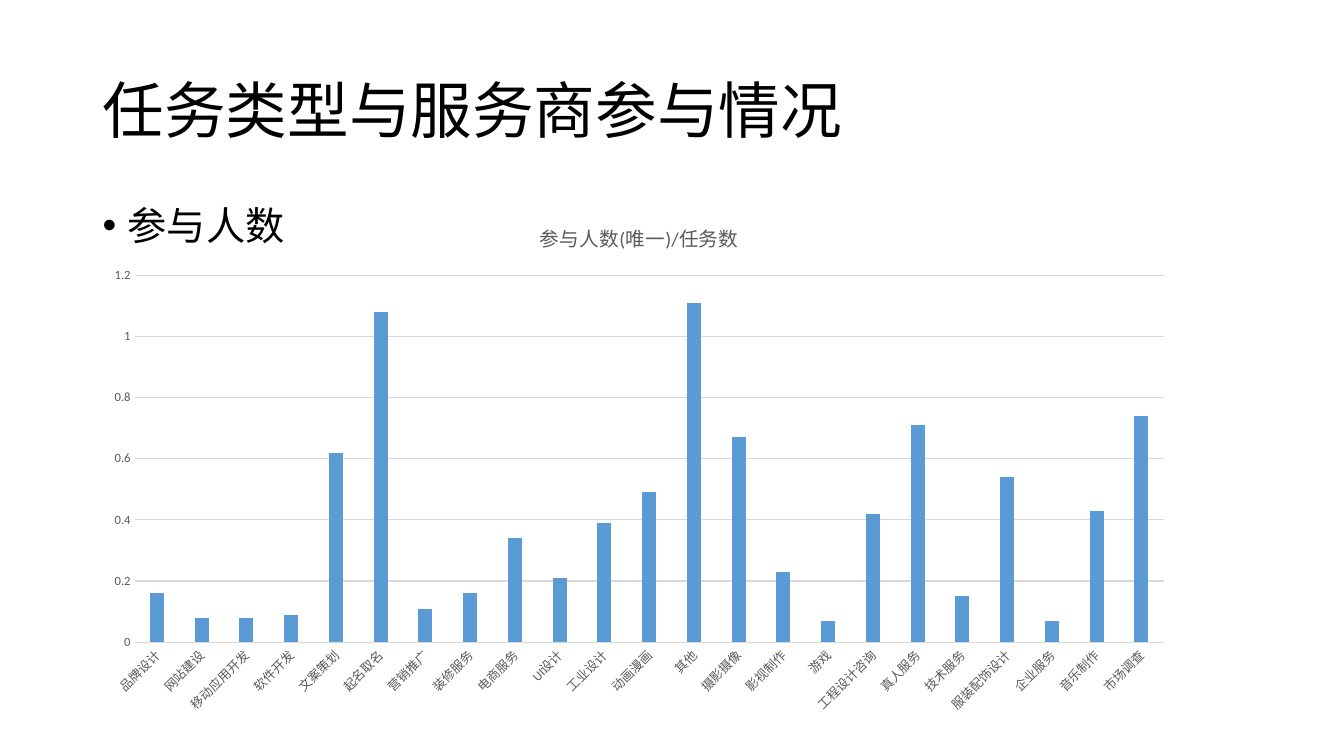
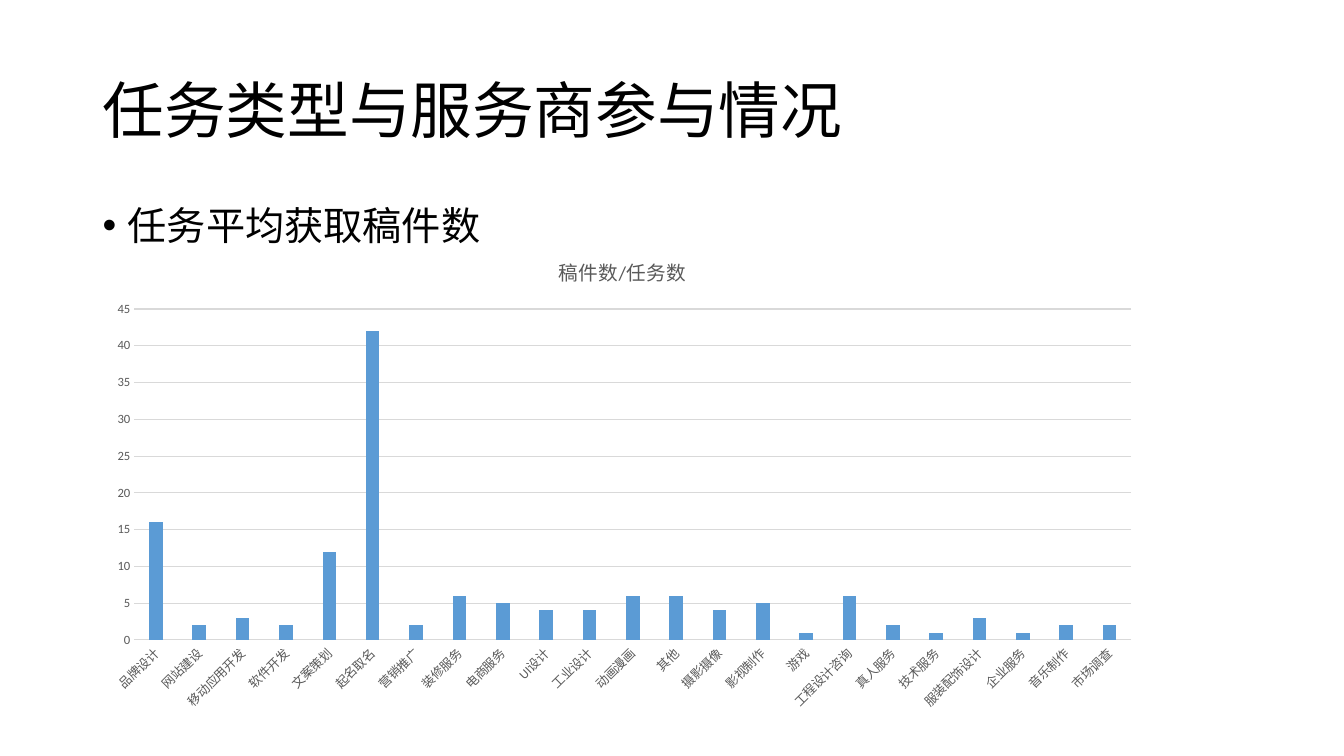
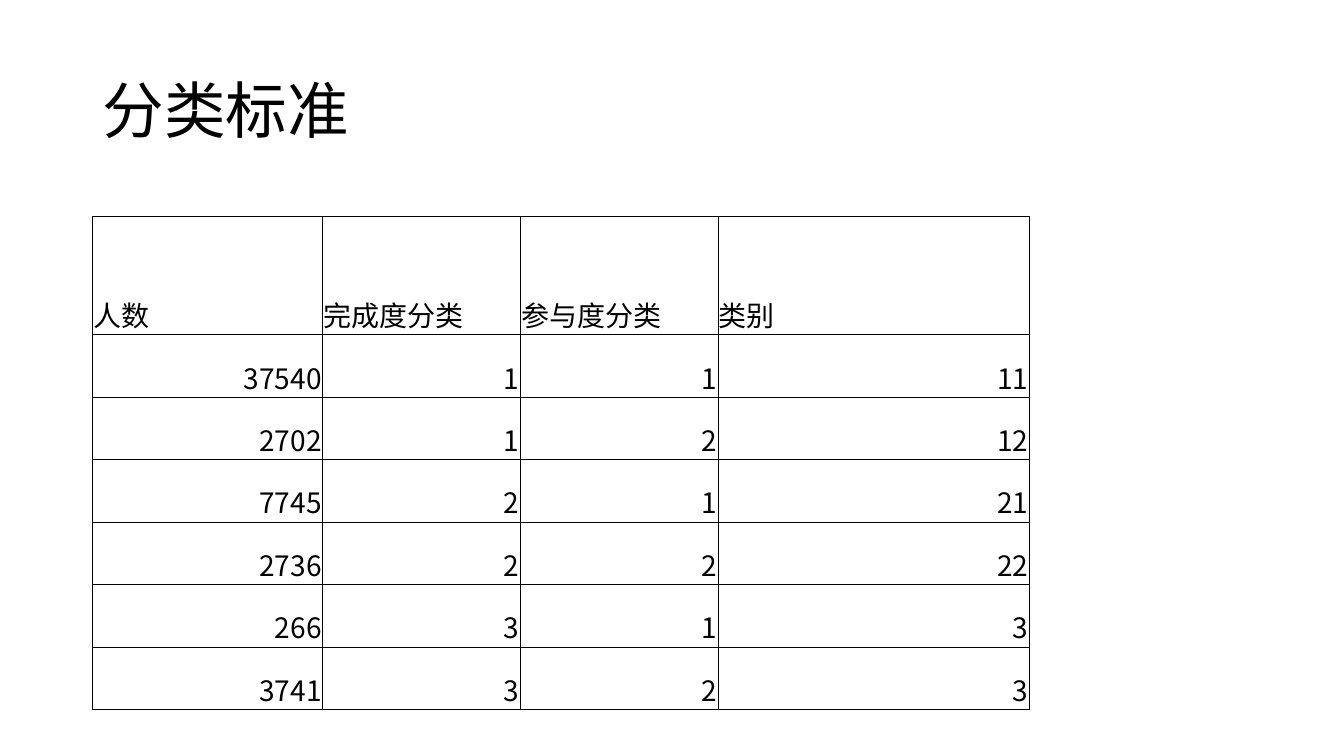
import pptx
import pptx.chart.data
import pptx.dml.color
import pptx.enum.chart
import pptx.enum.text
import pptx.oxml.ns
import pptx.util
from lxml import etree

EMU_PER_PX = 9144
SLIDE_SIZE = (1333, 750)
TITLE_BOX = (92, 40, 1150, 145)
BODY_BOX = (92, 200, 1150, 476)
LATIN_FONT = "Arial"
CHART_FONT = "Calibri"
CJK_FONT = "Noto Sans CJK SC"
BLACK = "000000"
BAR_BLUE = "5B9BD5"
LABEL_GRAY = "595959"
GRID_GRAY = "D9D9D9"

PARTICIPATION_TITLE = "任务类型与服务商参与情况"
TASK_TYPES = [
    "品牌设计", "网站建设", "移动应用开发", "软件开发", "文案策划", "起名取名",
    "营销推广", "装修服务", "电商服务", "UI设计", "工业设计", "动画漫画",
    "其他", "摄影摄像", "影视制作", "游戏", "工程设计咨询", "真人服务",
    "技术服务", "服装配饰设计", "企业服务", "音乐制作", "市场调查",
]
PARTICIPANTS_PER_TASK = [
    0.16, 0.08, 0.08, 0.09, 0.62, 1.08, 0.11, 0.16, 0.34, 0.21, 0.39, 0.49,
    1.11, 0.67, 0.23, 0.07, 0.42, 0.71, 0.15, 0.54, 0.07, 0.43, 0.74,
]
DRAFTS_PER_TASK = [
    16, 2, 3, 2, 12, 42, 2, 6, 5, 4, 4, 6, 6, 4, 5, 1, 6, 2, 1, 3, 1, 2, 2,
]
CLASS_ROWS = [
    ("人数", "完成度分类", "参与度分类", "类别"),
    (37540, 1, 1, 11),
    (2702, 1, 2, 12),
    (7745, 2, 1, 21),
    (2736, 2, 2, 22),
    (266, 3, 1, 3),
    (3741, 3, 2, 3),
]
CLASS_COLUMN_WIDTHS = [228, 196, 196, 309]
HEADER_HEIGHT = 117
ROW_HEIGHT = 62


def px(length):
    """Turn whole px into EMU."""
    return pptx.util.Emu(length * EMU_PER_PX)


def color(hex_string):
    """Turn a hex string into an RGB colour."""
    return pptx.dml.color.RGBColor.from_string(hex_string)


def add_element(parent, tag, **attributes):
    """Append a DrawingML element with the given attributes."""
    element = etree.SubElement(parent, pptx.oxml.ns.qn(tag))
    for name, value in attributes.items():
        element.set(name, str(value))
    return element


def style_font(font, size, hex_string, name):
    """Set the size, colour and typeface of a font."""
    font.size = pptx.util.Pt(size)
    font.bold = False
    font.color.rgb = color(hex_string)
    font.name = name


def write_text(text_frame, text, size, font=LATIN_FONT, hex_string=BLACK,
               align=None, line_spacing=None, space_before=None, bullet=None):
    """Write one formatted paragraph into a text frame and return it."""
    paragraph = text_frame.paragraphs[0]
    paragraph.alignment = align
    paragraph.line_spacing = line_spacing
    if space_before is not None:
        paragraph.space_before = pptx.util.Pt(space_before)
    if bullet:
        properties = paragraph._p.get_or_add_pPr()
        properties.set("marL", str(px(25)))
        properties.set("indent", str(px(-25)))
        add_element(properties, "a:buFont", typeface=LATIN_FONT)
        add_element(properties, "a:buChar", char=bullet)
    run = paragraph.add_run()
    run.text = text
    style_font(run.font, size, hex_string, font)
    latin = run.font._element.find(pptx.oxml.ns.qn("a:latin"))
    east_asian = etree.Element(pptx.oxml.ns.qn("a:ea"), typeface=CJK_FONT)
    latin.addnext(east_asian)
    return paragraph


def add_text_box(slide, box, text, anchor, **text_format):
    """Place wrapped text in a box."""
    text_frame = slide.shapes.add_textbox(*map(px, box)).text_frame
    text_frame.word_wrap = True
    text_frame.vertical_anchor = anchor
    write_text(text_frame, text, **text_format)


def add_titled_slide(presentation, title):
    """Add a blank slide with the shared title style."""
    slide = presentation.slides.add_slide(presentation.slide_layouts[6])
    add_text_box(slide, TITLE_BOX, title, pptx.enum.text.MSO_ANCHOR.MIDDLE,
                 size=44, line_spacing=0.9)
    return slide


def style_axis(axis):
    """Remove tick marks and set the label style of an axis."""
    axis.major_tick_mark = pptx.enum.chart.XL_TICK_MARK.NONE
    axis.minor_tick_mark = pptx.enum.chart.XL_TICK_MARK.NONE
    style_font(axis.tick_labels.font, 9, LABEL_GRAY, CHART_FONT)


def style_line(line):
    """Draw a thin gray chart line."""
    line.color.rgb = color(GRID_GRAY)
    line.width = pptx.util.Pt(0.75)


def add_column_chart(slide, box, title, values, maximum, step):
    """Place a column chart of one value per task type in a box."""
    data = pptx.chart.data.CategoryChartData()
    data.categories = TASK_TYPES
    data.add_series(title, values)
    chart = slide.shapes.add_chart(
        pptx.enum.chart.XL_CHART_TYPE.COLUMN_CLUSTERED, *map(px, box), data).chart
    style_font(chart.font, 10, BLACK, CHART_FONT)
    chart.has_legend = False
    chart.has_title = True
    chart.chart_title.include_in_layout = False
    write_text(chart.chart_title.text_frame, title, 14, CHART_FONT, LABEL_GRAY)

    plot = chart.plots[0]
    plot.gap_width = 219
    plot.overlap = -27
    plot.vary_by_categories = False
    bar_fill = plot.series[0].format.fill
    bar_fill.solid()
    bar_fill.fore_color.rgb = color(BAR_BLUE)

    category_axis, value_axis = chart.category_axis, chart.value_axis
    style_axis(category_axis)
    style_line(category_axis.format.line)
    label_body = category_axis._element.txPr.find(pptx.oxml.ns.qn("a:bodyPr"))
    label_body.set("rot", "-2700000")
    style_axis(value_axis)
    value_axis.format.line.fill.background()
    value_axis.has_major_gridlines = True
    style_line(value_axis.major_gridlines.format.line)
    value_axis.minimum_scale = 0
    value_axis.maximum_scale = maximum
    value_axis.major_unit = step


def add_chart_slide(presentation, topic, box, chart_title, values, maximum, step):
    """Add a slide with a bulleted topic above a column chart."""
    slide = add_titled_slide(presentation, PARTICIPATION_TITLE)
    add_text_box(slide, BODY_BOX, topic, pptx.enum.text.MSO_ANCHOR.TOP,
                 size=28, line_spacing=0.9, space_before=10, bullet="•")
    add_column_chart(slide, box, chart_title, values, maximum, step)


def add_cell_borders(cell):
    """Draw a thin black line on each side of a cell."""
    properties = cell._tc.get_or_add_tcPr()
    for side in ("a:lnL", "a:lnR", "a:lnT", "a:lnB"):
        line = add_element(properties, side, w=pptx.util.Pt(0.5))
        fill = add_element(line, "a:solidFill")
        add_element(fill, "a:srgbClr", val=BLACK)


def fill_cell(cell, value):
    """Write a heading on the left or a number on the right of a cell."""
    cell.margin_left = cell.margin_right = cell.margin_top = px(1)
    cell.margin_bottom = 0
    cell.vertical_anchor = pptx.enum.text.MSO_ANCHOR.BOTTOM
    add_cell_borders(cell)
    cell.fill.background()
    alignment = pptx.enum.text.PP_ALIGN
    align = alignment.LEFT if isinstance(value, str) else alignment.RIGHT
    write_text(cell.text_frame, str(value), 20, CJK_FONT, align=align)


def add_class_table(slide, left, top):
    """Place the classification table from its top left corner."""
    row_heights = [HEADER_HEIGHT] + [ROW_HEIGHT] * (len(CLASS_ROWS) - 1)
    table = slide.shapes.add_table(
        len(CLASS_ROWS), len(CLASS_COLUMN_WIDTHS), px(left), px(top),
        px(sum(CLASS_COLUMN_WIDTHS)), px(sum(row_heights))).table
    table.first_row = False
    table.horz_banding = False
    for column, width in zip(table.columns, CLASS_COLUMN_WIDTHS):
        column.width = px(width)
    for row, height, values in zip(table.rows, row_heights, CLASS_ROWS):
        row.height = px(height)
        for cell, value in zip(row.cells, values):
            fill_cell(cell, value)


def main():
    """Build and save the presentation."""
    presentation = pptx.Presentation()
    presentation.slide_width, presentation.slide_height = map(px, SLIDE_SIZE)
    add_chart_slide(presentation, "参与人数", (92, 200, 1084, 517),
                    "参与人数(唯一)/任务数", PARTICIPANTS_PER_TASK, 1.2, 0.2)
    add_chart_slide(presentation, "任务平均获取稿件数", (92, 235, 1051, 479),
                    "稿件数/任务数", DRAFTS_PER_TASK, 45, 5)
    add_class_table(add_titled_slide(presentation, "分类标准"), 92, 215)
    presentation.save("out.pptx")


if __name__ == "__main__":
    main()
